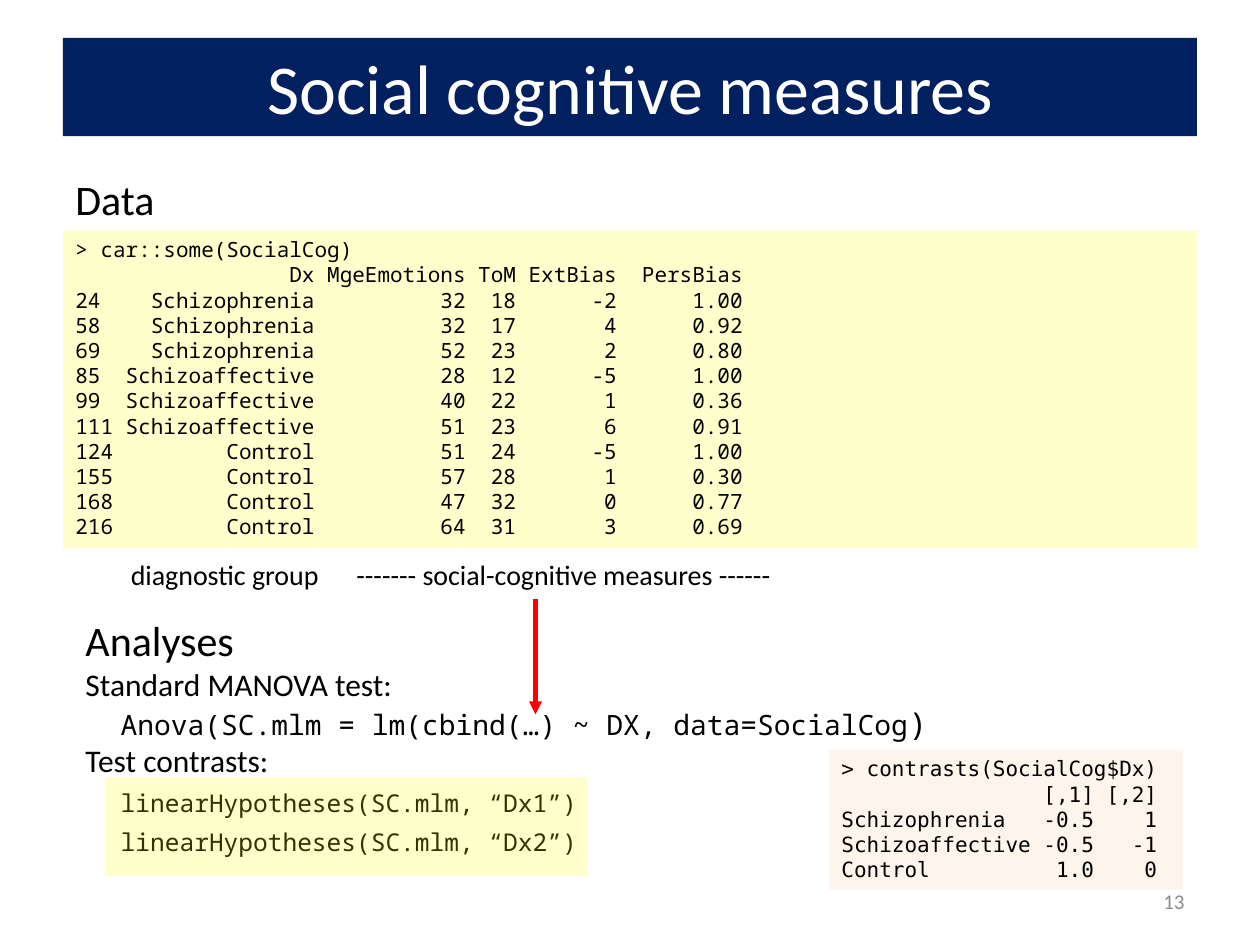
from lxml import etree
from pptx import Presentation
from pptx import util as u
from pptx.dml.color import RGBColor
from pptx.enum import shapes, text
from pptx.oxml.ns import qn

SANS, NOTO, DEJAVU = "Calibri", "Noto Sans Mono", "DejaVu Sans Mono"
YELLOW = "FFFF00"

# Content
TITLE = "Social cognitive measures"
PAGE_NUMBER = "13"
DATA_HEADING = "Data"
DATA_COMMAND = "> car::some(SocialCog)"
DATA_ROWS = [
    ("", "Dx", "MgeEmotions", "ToM", "ExtBias", "PersBias"),
    ("24", "Schizophrenia", "32", "18", "-2", "1.00"),
    ("58", "Schizophrenia", "32", "17", "4", "0.92"),
    ("69", "Schizophrenia", "52", "23", "2", "0.80"),
    ("85", "Schizoaffective", "28", "12", "-5", "1.00"),
    ("99", "Schizoaffective", "40", "22", "1", "0.36"),
    ("111", "Schizoaffective", "51", "23", "6", "0.91"),
    ("124", "Control", "51", "24", "-5", "1.00"),
    ("155", "Control", "57", "28", "1", "0.30"),
    ("168", "Control", "47", "32", "0", "0.77"),
    ("216", "Control", "64", "31", "3", "0.69"),
]
CAPTION = "diagnostic group\t------- social-cognitive measures ------"
CONTRASTS = [
    "> contrasts(SocialCog$Dx)",
    "                [,1] [,2]",
    "Schizophrenia   -0.5    1",
    "Schizoaffective -0.5   -1",
    "Control          1.0    0",
]
CODE = dict(font=NOTO, indent=0.28, line_pt=22)
ANALYSES = [
    ([("Analyses", 24)], {}),
    ([("Standard MANOVA test:", 18)], {}),
    ([("Anova(SC.mlm = lm(cbind(…) ~ DX, data=SocialCog", 16), (")", 18)], CODE),
    ([("Test contrasts:", 18)], {}),
    ([("linearHypotheses(SC.mlm, “Dx1”)", 14)], CODE),
    ([("linearHypotheses(SC.mlm, “Dx2”)", 14)], CODE),
]

prs = Presentation()
prs.slide_width, prs.slide_height = u.Inches(10), u.Inches(7.5)
slide = prs.slides.add_slide(prs.slide_layouts[6])


def rgb(value):
    return RGBColor.from_string(value)


def inches(*values):
    return [u.Inches(v) for v in values]


def panel(box, fill, opacity=100):
    shape = slide.shapes.add_shape(shapes.MSO_SHAPE.RECTANGLE, *inches(*box))
    shape.shadow.inherit = False
    shape.line.fill.background()
    shape.fill.solid()
    shape.fill.fore_color.rgb = rgb(fill)
    if opacity < 100:
        color = shape.fill._xPr.find(qn("a:solidFill"))[0]
        etree.SubElement(color, qn("a:alpha"), val=str(opacity * 1000))
    return shape


def text_box(box):
    return slide.shapes.add_textbox(*inches(*box))


def write(shape, runs, size=12, font=SANS, color="000000", align="LEFT",
          anchor="TOP", indent=0, tab=None, line_pt=None):
    """Append one paragraph; runs is a string or a list of (text, size)."""
    frame = shape.text_frame
    frame.word_wrap = True
    frame.vertical_anchor = text.MSO_ANCHOR[anchor]
    para = frame.paragraphs[0]
    if para.runs:
        para = frame.add_paragraph()
    props = para._p.get_or_add_pPr()
    props.set("marL", str(u.Inches(indent)))
    if tab:
        stops = etree.SubElement(props, qn("a:tabLst"))
        etree.SubElement(stops, qn("a:tab"), pos=str(u.Inches(tab)), algn="l")
    para.alignment = text.PP_ALIGN[align]
    if line_pt:
        para.line_spacing = u.Pt(line_pt)
    for words, points in [(runs, size)] if isinstance(runs, str) else runs:
        run = para.add_run()
        run.text = words
        run.font.size, run.font.name = u.Pt(points), font
        run.font.color.rgb = rgb(color)


# Title bar and page number
write(panel((0.5, 0.3, 9, 0.78), "002060"), TITLE, size=40, color="FFFFFF",
      align="CENTER", anchor="MIDDLE")
write(text_box((7.17, 6.95, 2.33, 0.4)), PAGE_NUMBER, color="8C8C8C",
      align="RIGHT", anchor="MIDDLE")

# Data listing, set in fixed-width columns
write(text_box((0.5, 1.33, 1.33, 0.5)), DATA_HEADING, size=24)
listing = panel((0.5, 1.83, 9, 2.52), YELLOW, 20)
write(listing, DATA_COMMAND, font=NOTO)
for row in DATA_ROWS:
    write(listing, "{:<3} {:>15} {:>11} {:>3} {:>7} {:>9}".format(*row), font=NOTO)
write(text_box((0.94, 4.38, 8.55, 0.37)), CAPTION, size=16, tab=1.79)

# Analyses
analyses = text_box((0.58, 4.83, 8.25, 2.02))
for runs, style in ANALYSES:
    write(analyses, runs, **style)

# Contrast matrix
matrix = panel((6.58, 5.95, 2.81, 1.11), "FDEADA", 50)
for line in CONTRASTS:
    write(matrix, line, font=DEJAVU)

# Arrow from the measures to the model call
arrow = slide.shapes.add_connector(shapes.MSO_CONNECTOR.STRAIGHT,
                                   *inches(4.25, 4.75, 4.25, 5.67))
arrow.line.color.rgb = rgb("FF0000")
arrow.line.width = u.Pt(2.5)
etree.SubElement(arrow.line._get_or_add_ln(), qn("a:tailEnd"), type="triangle")
etree.SubElement(arrow._element.spPr, qn("a:effectLst"))

# Highlight over the contrast tests
panel((0.83, 6.17, 3.83, 0.78), YELLOW, 20)

prs.save("out.pptx")
